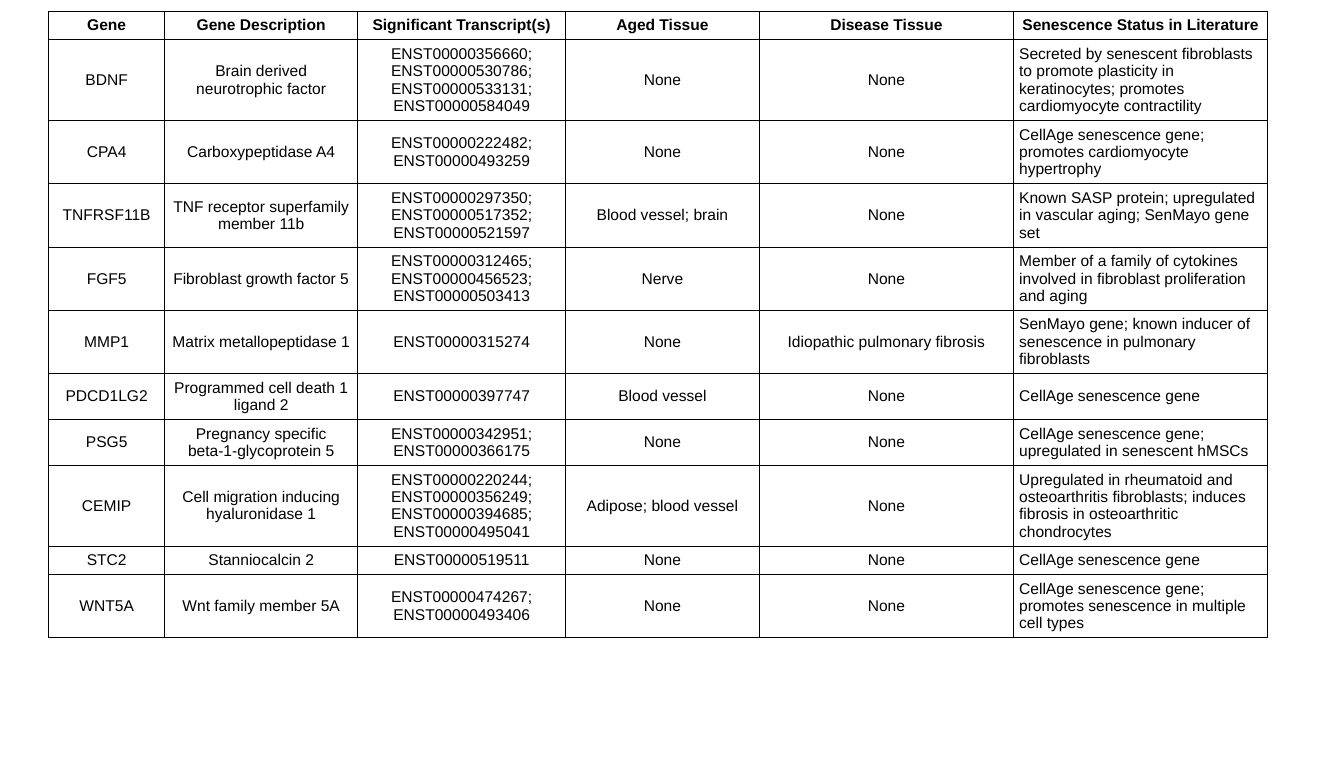
from lxml import etree
from pptx import Presentation
from pptx.dml.color import RGBColor
from pptx.enum.text import MSO_ANCHOR, PP_ALIGN
from pptx.oxml.ns import qn
from pptx.util import Inches, Pt

BLACK = "000000"
COLUMN_WIDTHS = [2.07, 3.45, 3.71, 3.46, 4.54, 4.54]
ROW_HEIGHT = 0.41
HEADER = ["Gene", "Gene Description", "Significant Transcript(s)",
          "Aged Tissue", "Disease Tissue", "Senescence Status in Literature"]
GENES = [
    ["BDNF", "Brain derived neurotrophic factor",
     "ENST00000356660; ENST00000530786; ENST00000533131; ENST00000584049",
     "None", "None",
     "Secreted by senescent fibroblasts to promote plasticity in "
     "keratinocytes; promotes cardiomyocyte contractility"],
    ["CPA4", "Carboxypeptidase A4", "ENST00000222482; ENST00000493259",
     "None", "None",
     "CellAge senescence gene; promotes cardiomyocyte hypertrophy"],
    ["TNFRSF11B", "TNF receptor superfamily member 11b",
     "ENST00000297350; ENST00000517352; ENST00000521597",
     "Blood vessel; brain", "None",
     "Known SASP protein; upregulated in vascular aging; SenMayo gene set"],
    ["FGF5", "Fibroblast growth factor 5",
     "ENST00000312465; ENST00000456523; ENST00000503413",
     "Nerve", "None",
     "Member of a family of cytokines involved in fibroblast "
     "proliferation and aging"],
    ["MMP1", "Matrix metallopeptidase 1", "ENST00000315274",
     "None", "Idiopathic pulmonary fibrosis",
     "SenMayo gene; known inducer of senescence in pulmonary fibroblasts"],
    ["PDCD1LG2", "Programmed cell death 1 ligand 2", "ENST00000397747",
     "Blood vessel", "None", "CellAge senescence gene"],
    ["PSG5", "Pregnancy specific beta-1-glycoprotein 5",
     "ENST00000342951; ENST00000366175", "None", "None",
     "CellAge senescence gene; upregulated in senescent hMSCs"],
    ["CEMIP", "Cell migration inducing hyaluronidase 1",
     "ENST00000220244; ENST00000356249; ENST00000394685; ENST00000495041",
     "Adipose; blood vessel", "None",
     "Upregulated in rheumatoid and osteoarthritis fibroblasts; induces "
     "fibrosis in osteoarthritic chondrocytes"],
    ["STC2", "Stanniocalcin 2", "ENST00000519511",
     "None", "None", "CellAge senescence gene"],
    ["WNT5A", "Wnt family member 5A", "ENST00000474267; ENST00000493406",
     "None", "None",
     "CellAge senescence gene; promotes senescence in multiple cell types"],
]


def rgb(color):
    return RGBColor.from_string(color)


def add_borders(cell, color, width):
    """Outline all four sides; the lines must precede the cell's fill."""
    tcPr = cell._tc.get_or_add_tcPr()
    for i, side in enumerate(("a:lnL", "a:lnR", "a:lnT", "a:lnB")):
        ln = etree.Element(qn(side), w=str(Pt(width)))
        fill = etree.SubElement(ln, qn("a:solidFill"))
        etree.SubElement(fill, qn("a:srgbClr"), val=color)
        tcPr.insert(i, ln)


def fill_cell(cell, text, align, bold):
    cell.fill.background()
    cell.vertical_anchor = MSO_ANCHOR.MIDDLE
    cell.margin_left = cell.margin_right = Inches(0.1)
    cell.margin_top = cell.margin_bottom = Inches(0.1)
    add_borders(cell, BLACK, 1)
    p = cell.text_frame.paragraphs[0]
    p.alignment = align
    r = p.add_run()
    r.text = text
    r.font.name = "Arial"
    r.font.size = Pt(20)
    r.font.bold = bold
    r.font.color.rgb = rgb(BLACK)


def add_gene_table(s, left, top):
    rows = [HEADER] + GENES
    frame = s.shapes.add_table(
        len(rows), len(HEADER), Inches(left), Inches(top),
        Inches(sum(COLUMN_WIDTHS)), Inches(ROW_HEIGHT * len(rows)))
    table = frame.table
    table.first_row = table.horz_banding = False
    for column, width in zip(table.columns, COLUMN_WIDTHS):
        column.width = Inches(width)
    for i, row in enumerate(rows):
        table.rows[i].height = Inches(ROW_HEIGHT)
        for j, text in enumerate(row):
            is_header = i == 0
            is_status = j == len(HEADER) - 1
            align = (PP_ALIGN.LEFT if is_status and not is_header
                     else PP_ALIGN.CENTER)
            fill_cell(table.cell(i, j), text, align, is_header)


def main():
    prs = Presentation()
    prs.slide_width, prs.slide_height = Inches(24), Inches(14)
    s = prs.slides.add_slide(prs.slide_layouts[6])
    add_gene_table(s, 0.87, 0.2)
    prs.save("out.pptx")


if __name__ == "__main__":
    main()
